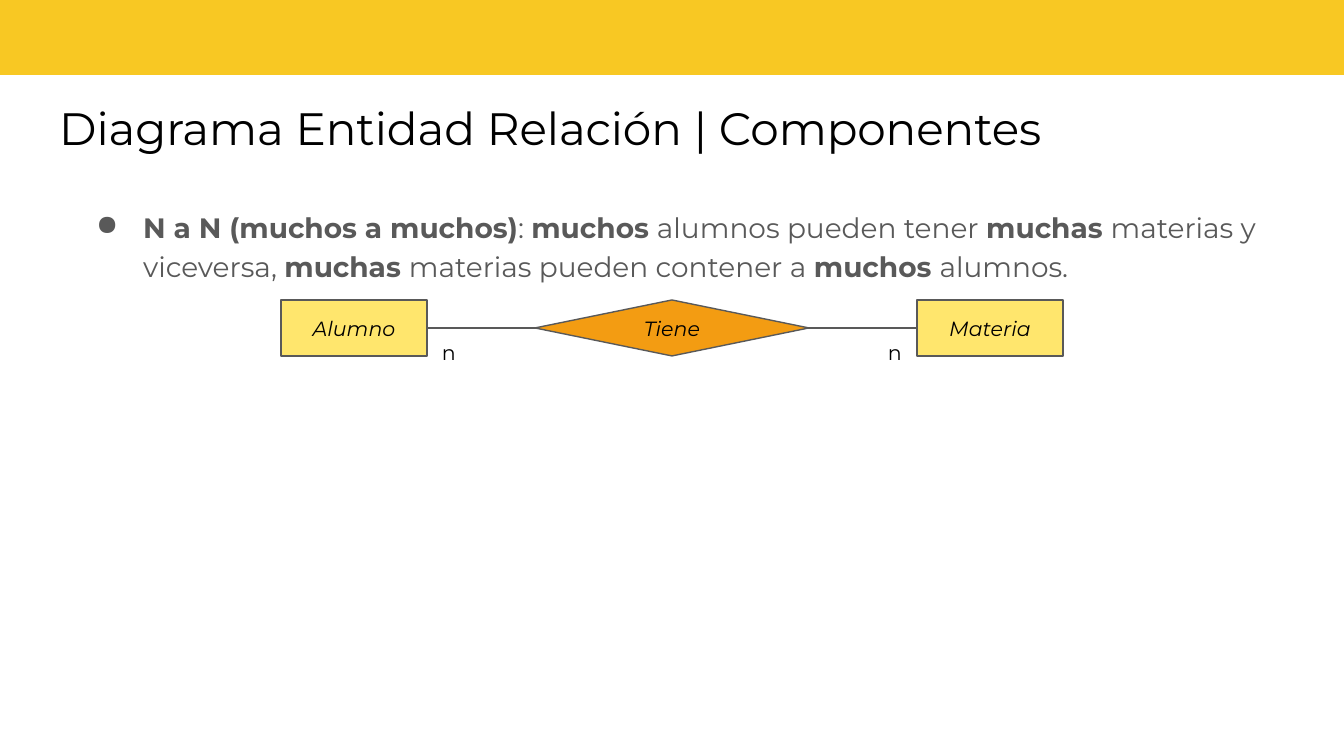
from lxml import etree
from pptx import Presentation
from pptx import util as u
from pptx.dml.color import RGBColor
from pptx.enum import shapes, text
from pptx.oxml import ns

SCALE = 914400 / 134.4
COLORS = {"band": "F8C823", "entity": "FFE66D", "relation": "F39C12",
          "gray": "595959", "black": "000000"}


def px(length):
    return u.Emu(round(length * SCALE))


def rgb(name):
    return RGBColor.from_string(COLORS[name])


class Diagram:
    """Draws the entity-relationship slide in one shared style."""

    def __init__(self, width, height):
        self.deck = Presentation()
        self.deck.slide_width, self.deck.slide_height = px(width), px(height)
        self.slide = self.deck.slides.add_slide(self.deck.slide_layouts[6])

    def set_text(self, shape, runs, size, color="black", align="LEFT", anchor="TOP"):
        frame = shape.text_frame
        layout = {"word_wrap": True, "vertical_anchor": text.MSO_ANCHOR[anchor]}
        layout |= {f"margin_{side}": u.Inches(0.1)
                   for side in ("left", "top", "right", "bottom")}
        for key, value in layout.items():
            setattr(frame, key, value)
        paragraph = frame.paragraphs[0]
        paragraph.alignment = text.PP_ALIGN[align]
        for words, accents in runs:
            run = paragraph.add_run()
            run.text = words
            style = {"name": "Montserrat", "size": u.Pt(size), **accents}
            for key, value in style.items():
                setattr(run.font, key, value)
            run.font.color.rgb = rgb(color)
        return paragraph

    def textbox(self, box, runs, size, **style):
        shape = self.slide.shapes.add_textbox(*map(px, box))
        return self.set_text(shape, runs, size, **style)

    def bullet(self, box, runs, size, color):
        paragraph = self.textbox(box, runs, size, color=color)
        paragraph.line_spacing = 1.15
        props = paragraph._p.get_or_add_pPr()
        props.set("marL", str(px(67)))
        props.set("indent", str(px(-47)))
        tint = etree.SubElement(props, ns.qn("a:buClr"))
        etree.SubElement(tint, ns.qn("a:srgbClr"), val=COLORS[color])
        etree.SubElement(props, ns.qn("a:buChar"), char="●")

    def block(self, kind, box, fill, label=None):
        shape = self.slide.shapes.add_shape(shapes.MSO_SHAPE[kind], *map(px, box))
        shape.shadow.inherit = False
        shape.fill.solid()
        shape.fill.fore_color.rgb = rgb(fill)
        if label:
            shape.line.color.rgb = rgb("gray")
            shape.line.width = u.Pt(0.75)
            self.set_text(shape, [(label, {"italic": True})], 11,
                          align="CENTER", anchor="MIDDLE")
        else:
            shape.line.fill.background()
        return shape

    def link(self, start, end):
        line = self.slide.shapes.add_connector(shapes.MSO_CONNECTOR.STRAIGHT, 0, 0, 0, 0)
        line.begin_connect(start, 3)
        line.end_connect(end, 1)
        line.line.color.rgb = rgb("gray")
        line.line.width = u.Pt(0.75)
        etree.SubElement(line._element.spPr, ns.qn("a:effectLst"))


def main():
    width, height = 1344, 756
    diagram = Diagram(width, height)
    diagram.block("RECTANGLE", (-1, -7, 1348, 82), "band")

    phrases = ["N a N (muchos a muchos)", ": ", "muchos ", "alumnos pueden tener ",
               "muchas ", "materias y viceversa, ", "muchas ",
               "materias pueden contener a ", "muchos ", "alumnos."]
    rule = [(phrase, {"bold": i % 2 == 0}) for i, phrase in enumerate(phrases)]
    diagram.bullet((63, 192, 1218, 488), rule, 15, "gray")
    diagram.textbox((46, 87, 1250, 85),
                    [("Diagrama Entidad Relación | Componentes", {})], 24.3)

    top, row_height = 300, 56
    left, entity_width, relation_width, count_width = 281, 146, 274, 44
    right = width - left - entity_width
    student, subject = [
        diagram.block("RECTANGLE", (x, top, entity_width, row_height), "entity", name)
        for x, name in ((left, "Alumno"), (right, "Materia"))]
    diagram.link(student, subject)
    diagram.block("DIAMOND", ((width - relation_width) // 2, top, relation_width, row_height),
                  "relation", "Tiene")
    for x in (left + entity_width, right - count_width):
        diagram.textbox((x, top + row_height // 2, count_width, 52),
                        [("n", {})], 11, align="CENTER")
    diagram.deck.save("out.pptx")


if __name__ == "__main__":
    main()
